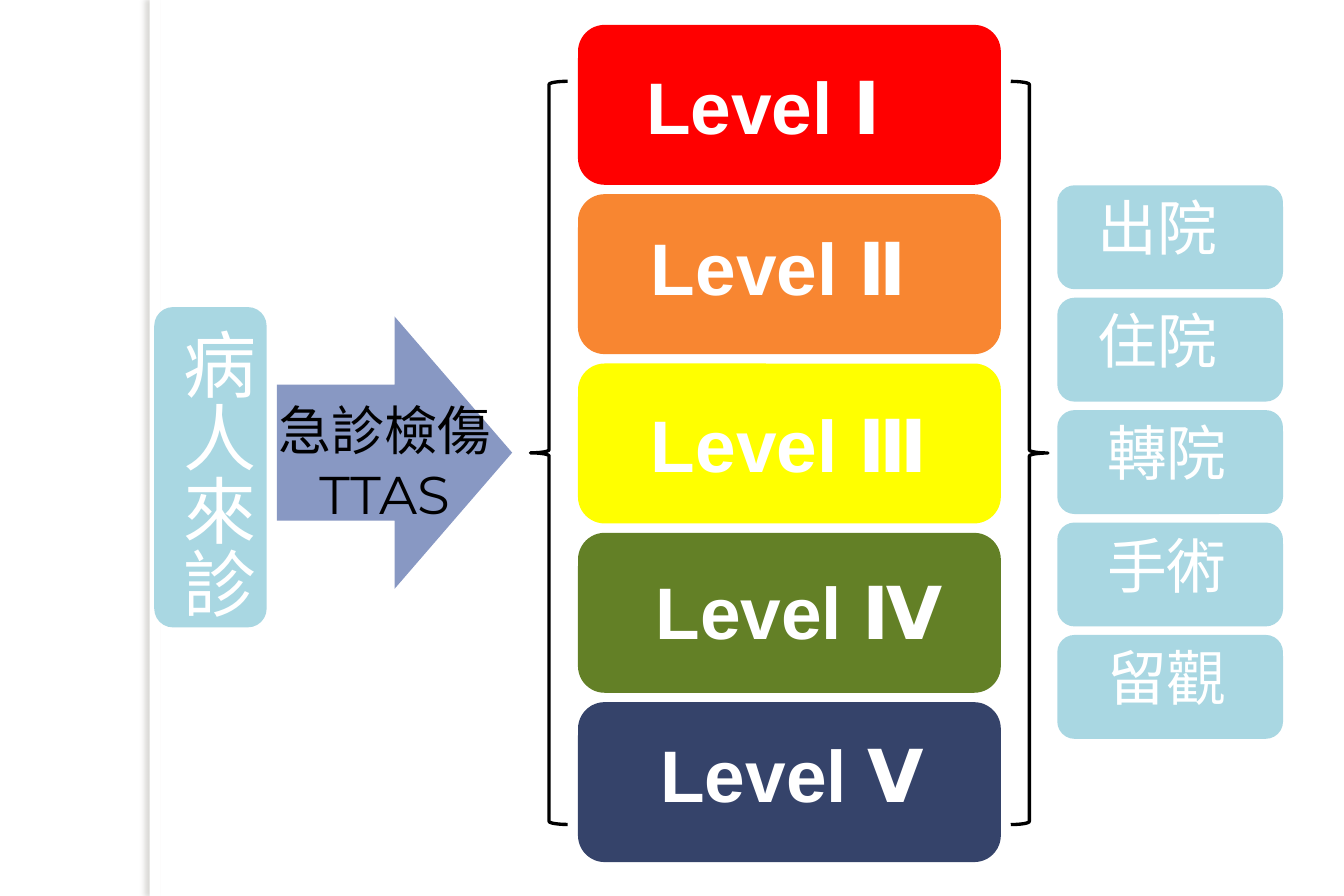
"""Build the emergency triage flow slide: arrival, TTAS levels, disposition."""
from lxml import etree
from pptx import Presentation
from pptx.dml.color import RGBColor
from pptx.enum.shapes import MSO_SHAPE
from pptx.enum.text import MSO_AUTO_SIZE, PP_ALIGN
from pptx.oxml import parse_xml
from pptx.oxml.ns import qn
from pptx.util import Cm, Pt

RECT = MSO_SHAPE.RECTANGLE
ROUNDED = MSO_SHAPE.ROUNDED_RECTANGLE
BRACE = MSO_SHAPE.LEFT_BRACE
ARROW = MSO_SHAPE.RIGHT_ARROW
GROW = MSO_AUTO_SIZE.SHAPE_TO_FIT_TEXT
LEFT, CENTER = PP_ALIGN.LEFT, PP_ALIGN.CENTER
CJK = "Noto Sans CJK SC"
WHITE, BLACK, PALE_BLUE = "FFFFFF", "000000", "A9D7E2"
EDGE_SHADOW = """
<a:effectLst xmlns:a="http://schemas.openxmlformats.org/drawingml/2006/main">
  <a:outerShdw blurRad="38100" dist="38100" dir="10800000" algn="ctr" rotWithShape="0">
    <a:srgbClr val="736F63"><a:alpha val="25000"/></a:srgbClr>
  </a:outerShdw>
</a:effectLst>"""

prs = Presentation()
prs.slide_width, prs.slide_height = Cm(28.575), Cm(19.05)
slide = prs.slides.add_slide(prs.slide_layouts[6])


def add_block(kind, left, top, width, height, fill=None):
    block = slide.shapes.add_shape(kind, Cm(left), Cm(top), Cm(width), Cm(height))
    block.shadow.inherit = False
    if fill:
        block.fill.solid()
        block.fill.fore_color.rgb = RGBColor.from_string(fill)
        block.line.fill.background()
    else:
        block.fill.background()
        block.line.color.rgb = RGBColor.from_string(BLACK)
        block.line.width = Pt(2)
    return block


def add_label(left, top, width, height, lines, size, color, bold=False, align=LEFT):
    label = slide.shapes.add_textbox(Cm(left), Cm(top), Cm(width), Cm(height))
    frame = label.text_frame
    frame.word_wrap = True
    frame.auto_size = GROW
    frame.text = "\n".join(text for text, _ in lines)
    for paragraph, (_, typeface) in zip(frame.paragraphs, lines):
        paragraph.alignment = align
        font = paragraph.font
        font.size, font.bold, font.name = Pt(size), bold, typeface
        font.color.rgb = RGBColor.from_string(color)
        properties = paragraph._p.pPr.find(qn("a:defRPr"))
        etree.SubElement(properties, qn("a:ea")).set("typeface", typeface)
    return label


page_edge = add_block(RECT, 3.18, 0, 0.23, 19.05, WHITE)
properties = page_edge._element.spPr
properties.remove(properties.find(qn("a:effectLst")))
properties.append(parse_xml(EDGE_SHADOW))

add_block(ROUNDED, 3.28, 6.53, 2.39, 6.81, PALE_BLUE)
arrival = add_label(3.28, 6.73, 2.39, 6.81, [("病人來診", CJK)], 44, WHITE)
arrival.text_frame._txBody.bodyPr.set("vert", "eaVert")

levels = [
    ("Level Ⅰ", "FF0000", 13.49, 1.19, 8.31),
    ("Level Ⅱ", "F88631", 13.59, 4.6, 13.31),
    ("Level Ⅲ", "FFFF00", 13.59, 8.38, 8.31),
    ("Level Ⅳ", "638026", 13.69, 11.91, 8.31),
    ("Level Ⅴ", "35436A", 13.79, 15.39, 8.31),
]
for row, (level, fill, left, top, width) in enumerate(levels):
    add_block(ROUNDED, 12.29, 0.53 + 3.6 * row, 8.99, 3.4, fill)
    add_label(left, top, width, 2.13, [(level, "Arial")], 44, WHITE, bold=True)

dispositions = [("出院", 23.09), ("住院", 23.09), ("轉院", 23.29), ("手術", 23.29), ("留觀", 23.29)]
for row, (disposition, left) in enumerate(dispositions):
    top = 3.94 + 2.39 * row
    add_block(ROUNDED, 22.48, top, 4.8, 2.21, PALE_BLUE)
    add_label(left, top, 3.99, 1.8, [(disposition, CJK)], 36, WHITE)

for left, rotation in [(11.28, 0), (21.49, 180)]:
    add_block(BRACE, left, 1.73, 0.79, 15.8).rotation = rotation

add_block(ARROW, 5.89, 6.73, 5, 5.79, "8898C3")
triage = [("急診檢傷", CJK), ("TTAS", "Montserrat")]
add_label(5.08, 8.33, 6.2, 3, triage, 32, BLACK, align=CENTER)

prs.save("out.pptx")
